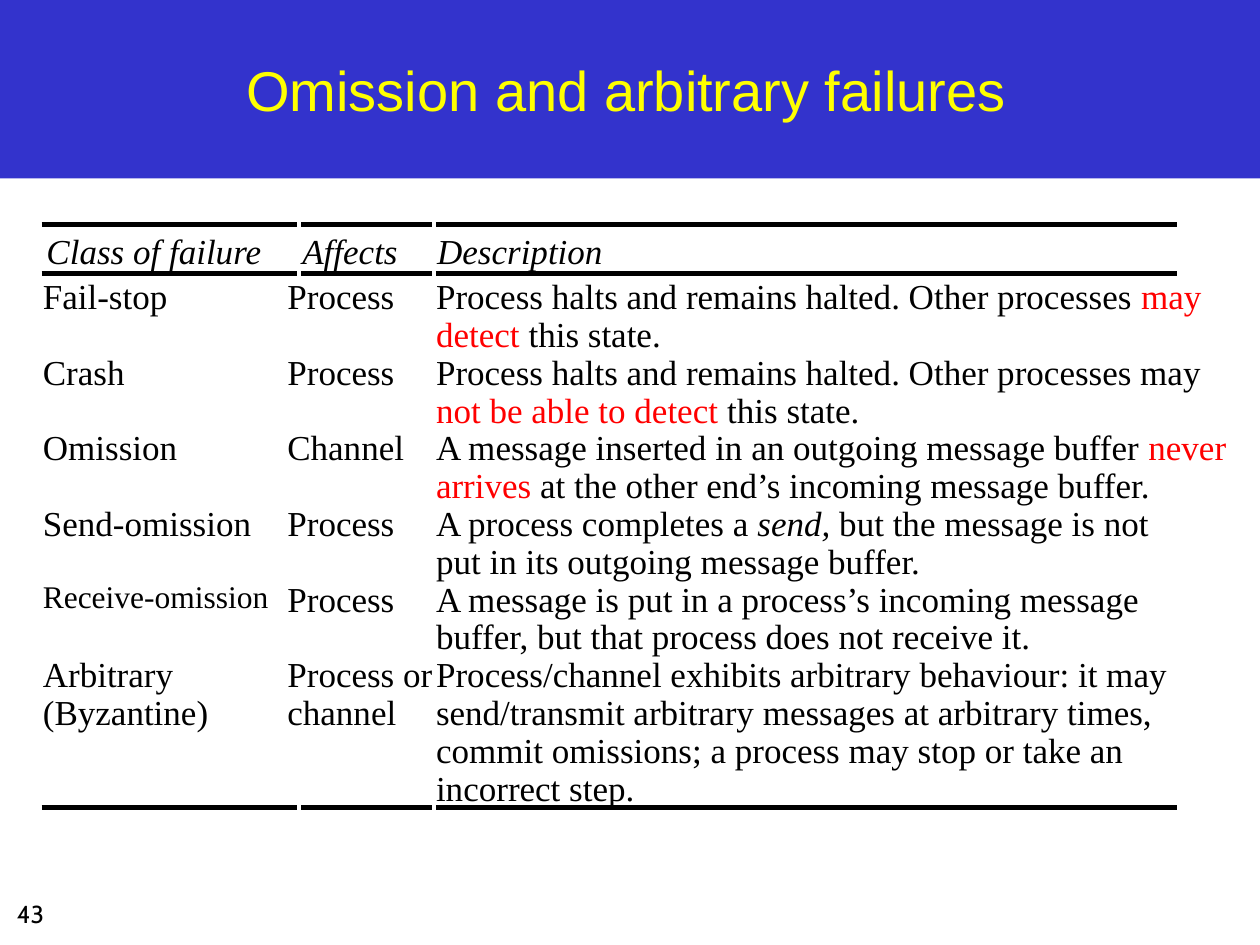
from dataclasses import dataclass

from lxml import etree
from pptx import Presentation
from pptx import util as u
from pptx.dml.color import RGBColor
from pptx.enum import shapes, text
from pptx.oxml.ns import qn

COLORS = {"band": "3333CC", "title": "FFFF00", "ink": "000000", "alert": "FF0000"}
SERIF = "Times New Roman"
LINE_PITCH = 21.6
FIRST_LINE = 157
COLUMN_X = (24.5, 164.2, 249.2)
RULE_SPANS = ((23.8, 169.9), (172.1, 247), (249.1, 672.5))
RULE_Y = (128.5, 156.2, 461.5)


@dataclass(frozen=True)
class Run:
    text: str
    color: str = "ink"
    italic: bool = False


@dataclass(frozen=True)
class Line:
    width: float
    content: str | tuple[Run, ...]
    size: float = 20


@dataclass(frozen=True)
class Failure:
    name: tuple[Line, ...]
    affects: tuple[Line, ...]
    description: tuple[Line, ...]


PROCESS = (Line(63, "Process"),)
HEADERS = (
    (26.6, Line(125, "Class of failure")),
    (172.8, Line(56, "Affects")),
    (249.8, Line(96, "Description")),
)
FAILURES = (
    Failure((Line(73, "Fail-stop"),), PROCESS, (
        Line(440, (Run("Process halts and remains halted. Other processes "),
                   Run("may", "alert"))),
        Line(131, (Run("detect", "alert"), Run(" this state."))))),
    Failure((Line(49, "Crash"),), PROCESS, (
        Line(440, "Process halts and remains halted. Other processes may"),
        Line(244, (Run("not be able to detect ", "alert"), Run("this state."))))),
    Failure((Line(79, "Omission"),), (Line(69, "Channel"),), (
        Line(455, (Run("A message inserted in an outgoing message buffer "),
                   Run("never", "alert"))),
        Line(413, (Run("arrives", "alert"),
                   Run(" at the other end’s incoming message buffer."))))),
    Failure((Line(121, "Send-omission"),), PROCESS, (
        Line(418, (Run("A process completes a "), Run("send, ", italic=True),
                   Run("but the message is not"))),
        Line(281, "put in its outgoing message buffer."))),
    Failure((Line(131, "Receive-omission", 18),), PROCESS, (
        Line(406, "A message is put in a process’s incoming message"),
        Line(343, "buffer, but that process does not receive it."))),
    Failure((Line(77, "Arbitrary"), Line(96, "(Byzantine)")),
            (Line(85, "Process or"), Line(65, "channel")), (
        Line(420, "Process/channel exhibits arbitrary behaviour: it may"),
        Line(412, "send/transmit arbitrary messages at arbitrary times,"),
        Line(395, "commit omissions; a process may stop or take an"),
        Line(116, "incorrect step."))),
)


def rgb(name: str) -> RGBColor:
    return RGBColor.from_string(COLORS[name])


def add_text(s, content: str | tuple[Run, ...], x: float, y: float, w: float, h: float,
             *, size: float = 20, font: str = SERIF, color: str = "ink",
             italic: bool = False, align=text.PP_ALIGN.LEFT,
             anchor=text.MSO_ANCHOR.TOP) -> None:
    """Place one line of text; a plain string takes the given colour and slant."""
    sp = s.shapes.add_textbox(u.Pt(x), u.Pt(y), u.Pt(w), u.Pt(h))
    tf = sp.text_frame
    tf.word_wrap = True
    tf.vertical_anchor = anchor
    tf.margin_left = tf.margin_right = tf.margin_top = tf.margin_bottom = 0
    p = tf.paragraphs[0]
    p.alignment = align
    runs = (Run(content, color, italic),) if isinstance(content, str) else content
    for run in runs:
        r = p.add_run()
        r.text = run.text
        r.font.name, r.font.size = font, u.Pt(size)
        r.font.italic = run.italic
        r.font.color.rgb = rgb(run.color)


def add_line(s, line: Line, x: float, y: float, italic: bool = False) -> None:
    add_text(s, line.content, x, y, line.width, line.size * 1.2,
             size=line.size, italic=italic)


def add_rule(s, x1: float, x2: float, y: float) -> None:
    sp = s.shapes.add_connector(shapes.MSO_CONNECTOR.STRAIGHT,
                                u.Pt(x1), u.Pt(y), u.Pt(x2), u.Pt(y))
    sp.line.width = u.Pt(2.86)
    sp.line.color.rgb = rgb("ink")
    etree.SubElement(sp._element.spPr, qn("a:effectLst"))


def add_failures(s) -> None:
    """Stack the failures, each as tall as its longest column."""
    row = 0
    for failure in FAILURES:
        columns = (failure.name, failure.affects, failure.description)
        for x, lines in zip(COLUMN_X, columns):
            for i, line in enumerate(lines):
                add_line(s, line, x, FIRST_LINE + (row + i) * LINE_PITCH)
        row += max(map(len, columns))


def main() -> None:
    prs = Presentation()
    prs.slide_width, prs.slide_height = u.Pt(720), u.Pt(540)
    s = prs.slides.add_slide(prs.slide_layouts[6])

    band = s.shapes.add_shape(shapes.MSO_SHAPE.RECTANGLE, 0, 0, u.Pt(720), u.Pt(102))
    band.shadow.inherit = False
    band.fill.solid()
    band.fill.fore_color.rgb = rgb("band")
    band.line.fill.background()

    add_text(s, "43", -24, 514, 83, 20, size=14, font="Cabin",
             align=text.PP_ALIGN.CENTER)
    add_text(s, "Omission and arbitrary failures", 12, 12, 692, 78, size=32,
             font="Arial", color="title", align=text.PP_ALIGN.CENTER,
             anchor=text.MSO_ANCHOR.MIDDLE)

    for x, header in HEADERS:
        add_line(s, header, x, 131, italic=True)
    add_failures(s)
    for y in RULE_Y:
        for x1, x2 in RULE_SPANS:
            add_rule(s, x1, x2, y)

    prs.save("out.pptx")


if __name__ == "__main__":
    main()
